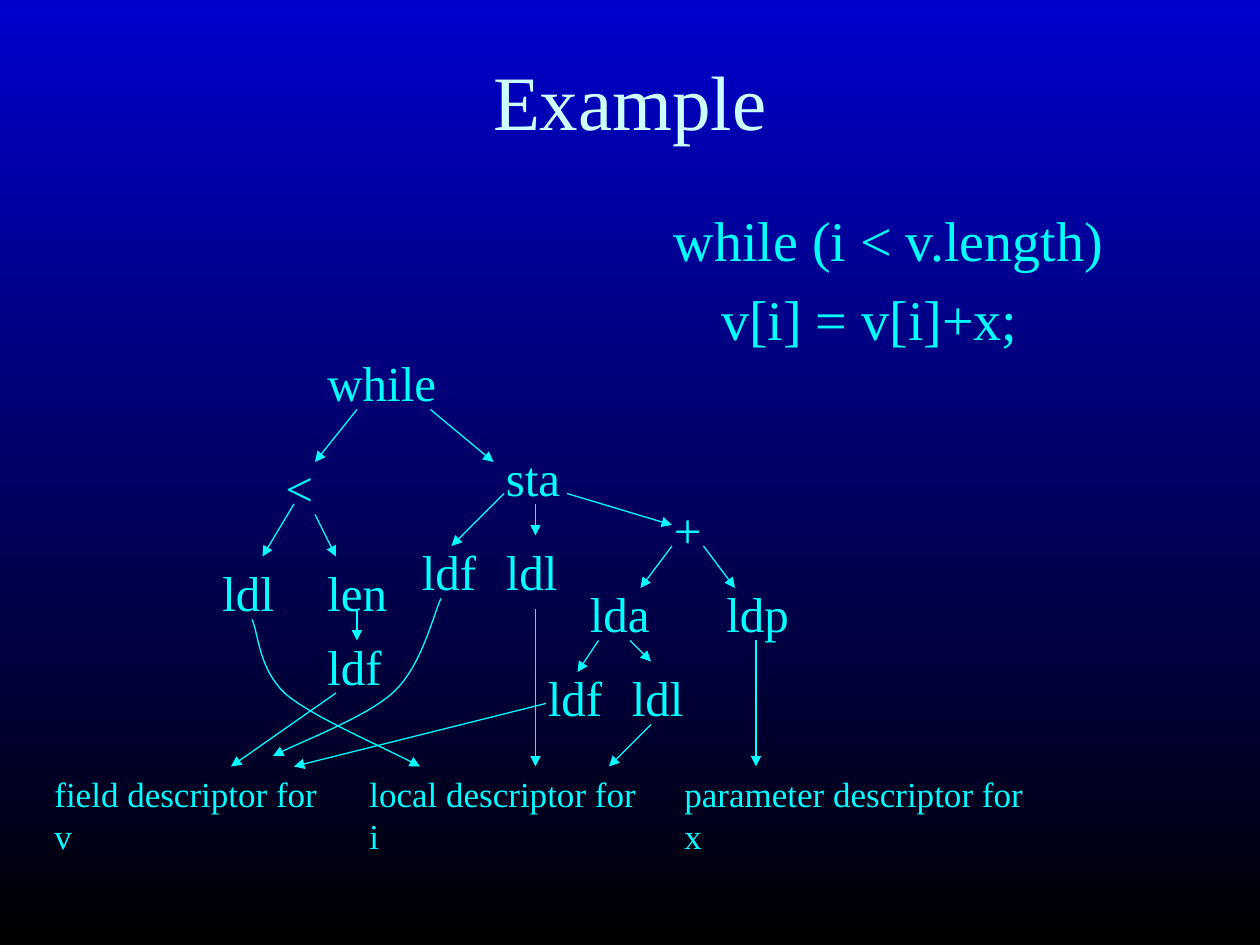
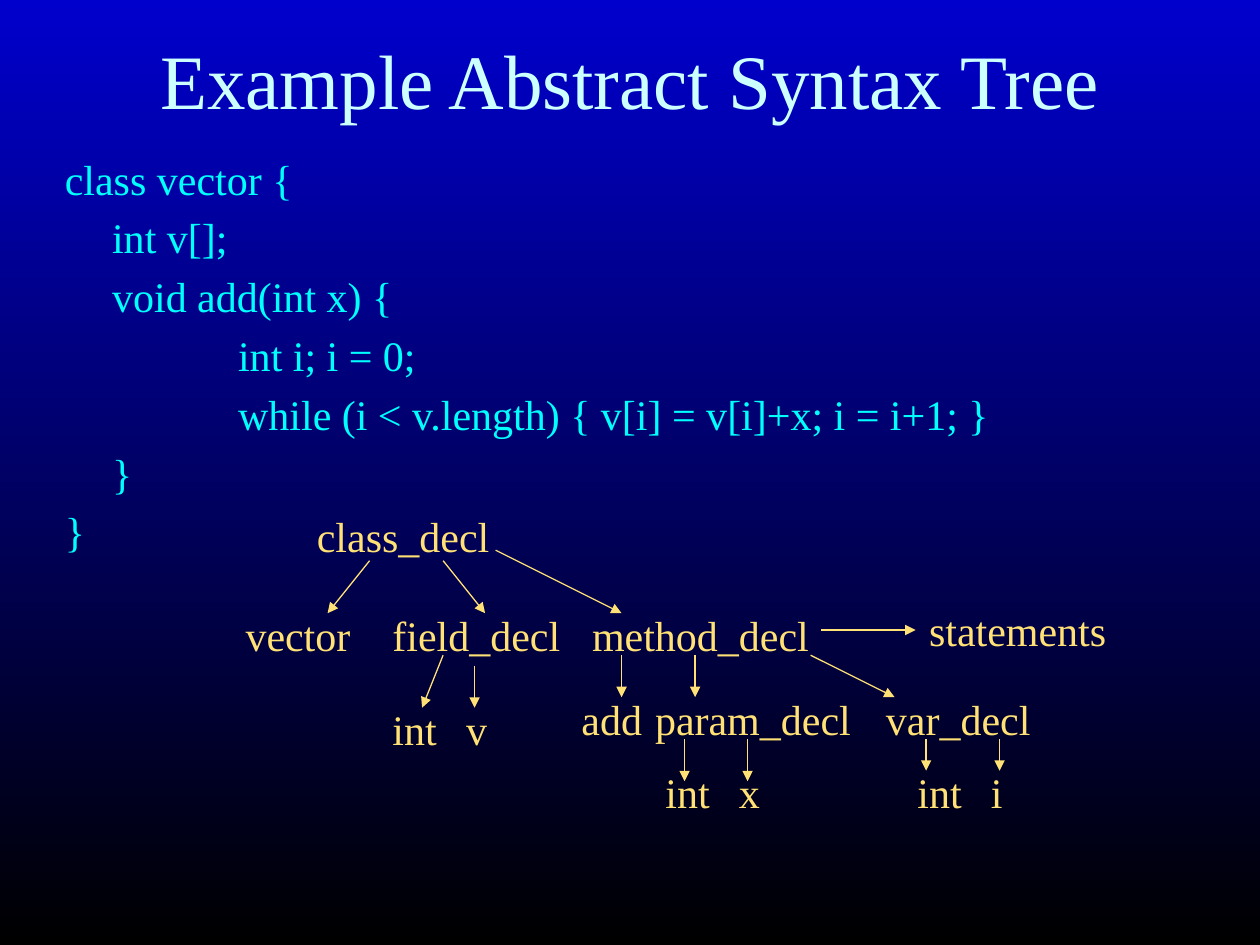
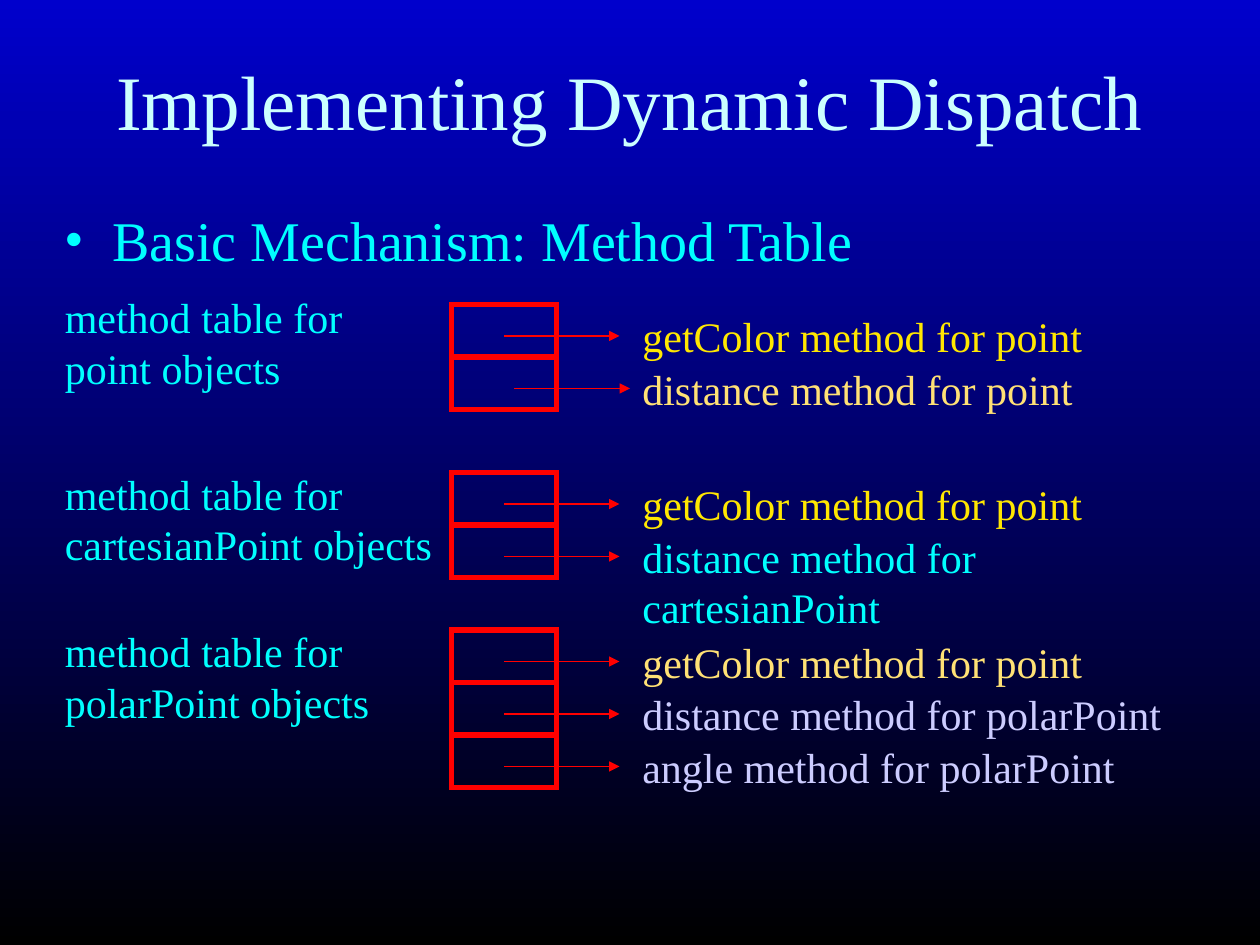
"""Three slides on syntax trees and method tables, set on a grid of 120 columns by 90 rows."""
import lxml.etree
import pptx
import pptx.dml.color
import pptx.enum.shapes
import pptx.enum.text
import pptx.oxml.ns
import pptx.util

COLOR = pptx.dml.color.RGBColor
BLUE = COLOR(0x00, 0x00, 0xCC)
BLACK = COLOR(0x00, 0x00, 0x00)
PALE = COLOR(0xCC, 0xFF, 0xFF)
AQUA = COLOR(0x00, 0xFF, 0xFF)
SAND = COLOR(0xFF, 0xE1, 0x75)
GOLD = COLOR(0xFF, 0xE7, 0x01)
LILAC = COLOR(0xCC, 0xCC, 0xFF)
RED = COLOR(0xFF, 0x00, 0x00)
FONT = "Times New Roman"
MARGINS = [0, 4.5, 16.5]

deck = pptx.Presentation()
deck.slide_width = pptx.util.Inches(10)
deck.slide_height = pptx.util.Inches(7.5)
UNIT = deck.slide_width / 120
NAME = pptx.oxml.ns.qn


def write(page, text, x, y, wide, tall=None, size=24, hue=AQUA, wrap=False, title=False, gap=0, dot=False):
    lines = text.split("\n")
    high = tall or len(lines) * size * 0.2 + 1.2
    box = page.shapes.add_textbox(*[round(n * UNIT) for n in (x, y, wide, high)])
    frame = box.text_frame
    frame.word_wrap = wrap
    if not tall:
        frame.auto_size = pptx.enum.text.MSO_AUTO_SIZE.SHAPE_TO_FIT_TEXT
    if title:
        frame.vertical_anchor = pptx.enum.text.MSO_ANCHOR.MIDDLE
    for rank, line in enumerate(lines):
        para = frame.paragraphs[0] if rank == 0 else frame.add_paragraph()
        props = para._p.get_or_add_pPr()
        level = 1 if dot else line.count("\t")
        props.set("marL", str(round(MARGINS[level] * UNIT)))
        if dot:
            props.set("indent", str(-round(MARGINS[1] * UNIT)))
            lxml.etree.SubElement(props, NAME("a:buFont")).set("typeface", FONT)
            lxml.etree.SubElement(props, NAME("a:buChar")).set("char", "•")
        if title:
            para.alignment = pptx.enum.text.PP_ALIGN.CENTER
        if rank and gap:
            para.space_before = pptx.util.Pt(gap)
        run = para.add_run()
        run.text = line.strip("\t")
        run.font.name = FONT
        run.font.size = pptx.util.Pt(size)
        run.font.color.rgb = hue


def arrow(page, points, hue):
    spots = [(round(x * UNIT), round(y * UNIT)) for x, y in points]
    if len(spots) == 2:
        line = page.shapes.add_connector(pptx.enum.shapes.MSO_CONNECTOR.STRAIGHT, *spots[0], *spots[1])
    else:
        path = page.shapes.build_freeform(*spots[0], scale=1.0)
        path.add_line_segments(spots[1:], close=False)
        line = path.convert_to_shape()
        line.fill.background()
    line.line.color.rgb = hue
    line.line.width = pptx.util.Pt(0.75)
    props = line._element.spPr
    lxml.etree.SubElement(props.find(NAME("a:ln")), NAME("a:tailEnd")).set("type", "triangle")
    lxml.etree.SubElement(props, NAME("a:effectLst"))


back = deck.slide_master.background.fill
back.gradient()
back.gradient_angle = 270
for stop, hue in zip(back.gradient_stops, (BLUE, BLACK)):
    stop.color.rgb = hue

pages = []
for text, tall in [
    ("Example", 15),
    ("Example Abstract Syntax Tree", 11),
    ("Implementing Dynamic Dispatch", 15),
]:
    page = deck.slides.add_slide(deck.slide_layouts[6])
    write(page, text, 5, 2, 110, tall, size=44, hue=PALE, wrap=True, title=True)
    pages.append(page)
loop, tree, table = pages

write(loop, "while (i < v.length)\n\tv[i] = v[i]+x;", 63, 19, 52, 64, size=32, wrap=True, gap=6.8)
for text, x, wide in [
    ("field descriptor for v", 4, 29),
    ("local descriptor for i", 34, 29),
    ("parameter descriptor for x", 64, 36),
]:
    write(loop, text, x, 73, wide, size=20, wrap=True)
for text, x, y, wide in [
    ("while", 30, 33, 12.8),
    ("<", 26, 43, 5.1),
    ("sta", 47, 42, 7.6),
    ("ldl", 20, 53, 7.4),
    ("len", 30, 53, 8.2),
    ("ldf", 39, 51, 7.6),
    ("ldl", 47, 51, 7.4),
    ("+", 63, 47, 5.1),
    ("lda", 55, 55, 8.2),
    ("ldp", 68, 55, 8.4),
    ("ldf", 30, 60, 7.6),
    ("ldf", 51, 63, 7.6),
    ("ldl", 59, 63, 7.4),
]:
    write(loop, text, x, y, wide, size=28)
for x, y, right, low in [
    (34, 39, 30, 44), (41, 39, 47, 44), (28, 48, 25, 53), (30, 49, 32, 53),
    (48, 47, 43, 52), (51, 48, 51, 51), (54, 47, 64, 50), (64, 52, 61, 56),
    (67, 52, 70, 56), (57, 61, 55, 64), (60, 61, 62, 63), (34, 58, 34, 61),
    (32, 66, 22, 73), (52, 67, 28, 73), (51, 58, 51, 73), (62, 69, 58, 73),
    (72, 61, 72, 73),
]:
    arrow(loop, [(x, y), (right, low)], AQUA)
for knots in [
    [(42, 57), (41.3, 58.4), (40.2, 63.4), (37.5, 65.9), (34.8, 68.4), (28.4, 70.7), (26, 72)],
    [(24, 59), (24.6, 60.2), (24.6, 63.7), (27.2, 66.1), (29.9, 68.4), (37.3, 71.5), (40, 73)],
]:
    curve = [knots[0]]
    for first in (0, 3):
        for step in range(1, 17):
            t = step / 16
            parts = [(1 - t) ** 3, 3 * t * (1 - t) ** 2, 3 * t ** 2 * (1 - t), t ** 3]
            bend = knots[first:first + 4]
            curve.append(tuple(sum(part * knot[axis] for part, knot in zip(parts, bend)) for axis in (0, 1)))
    arrow(loop, curve, AQUA)

code = """class vector {
\tint v[];
\tvoid add(int x) {
\t\tint i; i = 0;
\t\twhile (i < v.length) { v[i] = v[i]+x; i = i+1; }
\t}
}"""
write(tree, code, 5, 14, 113, 69, wrap=True, gap=4.8)
for text, x, y, wide in [
    ("class_decl", 29, 48, 18.9),
    ("vector", 22.2, 57.5, 12.4),
    ("field_decl", 36.2, 57.5, 18.5),
    ("method_decl", 55.2, 57.5, 23.2),
    ("statements", 87.3, 57, 19.5),
    ("int", 36.2, 66.4, 6.7),
    ("v", 43.2, 66.4, 4.5),
    ("add", 54.2, 65.5, 8.2),
    ("param_decl", 61.2, 65.5, 21.5),
    ("var_decl", 83.2, 65.5, 16.3),
    ("int", 62.2, 72.4, 6.7),
    ("x", 69.2, 72.4, 4.5),
    ("int", 86.2, 72.4, 6.7),
    ("i", 93.2, 72.4, 3.5),
]:
    write(tree, text, x, y, wide, hue=SAND)
for x, y, right, low in [
    (35, 53, 31, 58), (42, 53, 46, 58), (47, 52, 59, 58), (78, 59.6, 87, 59.6),
    (42, 62, 40, 67), (45, 63, 45, 67), (59, 62, 59, 66), (66, 62, 66, 66),
    (77, 62, 85, 66), (65, 70, 65, 74), (71, 70, 71, 74), (88, 70, 88, 73),
    (95, 70, 95, 73),
]:
    arrow(tree, [(x + 0.2, y + 0.4), (right + 0.2, low + 0.4)], SAND)

write(table, "Basic Mechanism: Method Table", 5, 19, 110, 64, size=32, wrap=True, dot=True)
for kind, wide, label, top, rows in [
    ("point", 29.8, 27.2, 29, [
        ("getColor method for point", 44.3, GOLD, 0),
        ("distance method for point", 43.4, SAND, 1),
    ]),
    ("cartesianPoint", 37.4, 44, 45, [
        ("getColor method for point", 44.3, GOLD, 0),
        ("distance method for cartesianPoint", 57, AQUA, 0),
    ]),
    ("polarPoint", 31.4, 59, 60, [
        ("getColor method for point", 44.3, SAND, 0),
        ("distance method for polarPoint", 51.9, LILAC, 0),
        ("angle method for polarPoint", 47.5, LILAC, 0),
    ]),
]:
    write(table, f"method table for\n{kind} objects", 5, label, wide)
    for rank, (text, span, hue, shift) in enumerate(rows):
        y = top + 5 * rank
        cell = table.shapes.add_shape(
            pptx.enum.shapes.MSO_SHAPE.RECTANGLE, *[round(n * UNIT) for n in (43, y, 10, 5)])
        cell.shadow.inherit = False
        cell.fill.background()
        cell.line.color.rgb = RED
        cell.line.width = pptx.util.Pt(3)
        edge = cell._element.spPr.find(NAME("a:ln"))
        lxml.etree.SubElement(edge, NAME("a:miter")).set("lim", "800000")
        write(table, text, 60, y, span, hue=hue, wrap="cartesian" in text)
        arrow(table, [(48 + shift, y + 3), (59 + shift, y + 3)], RED)

deck.save("out.pptx")
